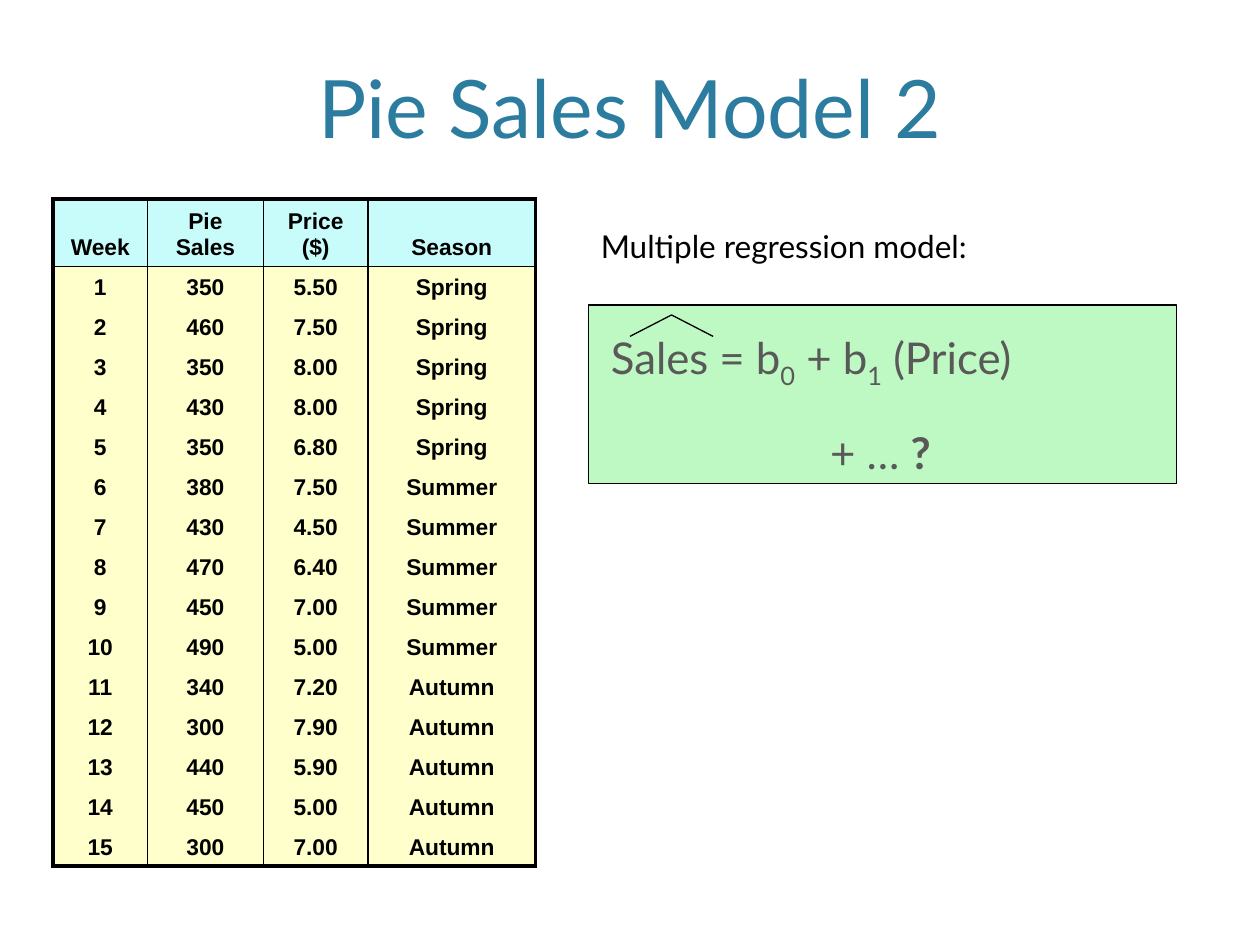
from lxml import etree
from pptx import Presentation
from pptx import util as u
from pptx.dml.color import RGBColor
from pptx.enum import shapes, text
from pptx.oxml import ns

BLACK, GRAY, TEAL = "000000", "595959", "2C7C9F"
HEADER_FILL, BODY_FILL, MODEL_FILL = "C8FCFB", "FFFFCC", "BEF8C2"
HEADINGS = ["Week", "Pie Sales", "Price\n($)", "Season"]
PIE_SALES = [350, 460, 350, 430, 350, 380, 430, 470, 450, 490, 340, 300, 440, 450, 300]
PRICES = [5.5, 7.5, 8, 8, 6.8, 7.5, 4.5, 6.4, 7, 5, 7.2, 7.9, 5.9, 5, 7]
SEASONS = ["Spring", "Summer", "Autumn"]
WEEKS_PER_SEASON = 5


def color(hex_string):
    return RGBColor.from_string(hex_string)


def add_run(paragraph, words, size, hex_string, font="Lato", bold=False, subscript=False):
    run = paragraph.add_run()
    run.text = words
    run.font.size = u.Pt(size)
    run.font.name = font
    run.font.bold = bold
    run.font.color.rgb = color(hex_string)
    if subscript:
        run.font._element.set("baseline", "-25000")


def add_text_frame(slide, left, top, width, height):
    box = slide.shapes.add_textbox(*map(u.Inches, (left, top, width, height)))
    box.text_frame.word_wrap = True
    return box.text_frame


def outline(shape):
    shape.shadow.inherit = False
    shape.line.color.rgb = color(BLACK)
    shape.line.width = u.Pt(0.75)


def set_borders(cell, **widths):
    """Draw the sides L, R, T and B in points; a width of 0 hides the side."""
    properties = cell._tc.get_or_add_tcPr()
    for side, width in widths.items():
        line = etree.SubElement(properties, ns.qn(f"a:ln{side}"), w=str(u.Pt(width)))
        if width:
            fill = etree.SubElement(line, ns.qn("a:solidFill"))
            etree.SubElement(fill, ns.qn("a:srgbClr"), val=BLACK)
        else:
            etree.SubElement(line, ns.qn("a:noFill"))


def add_title(slide, left, top, width, height):
    frame = add_text_frame(slide, left, top, width, height)
    frame.vertical_anchor = text.MSO_ANCHOR.BOTTOM
    heading = frame.paragraphs[0]
    heading.alignment = text.PP_ALIGN.CENTER
    add_run(heading, "Pie Sales Model 2", 46, TEAL)


def add_sales_table(slide, left, top, column_widths, header_height, row_height):
    weeks = [
        [str(week + 1), str(sales), f"{price:.2f}", SEASONS[week // WEEKS_PER_SEASON]]
        for week, (sales, price) in enumerate(zip(PIE_SALES, PRICES))
    ]
    rows = [HEADINGS] + weeks
    last_row, last_column = len(weeks), len(HEADINGS) - 1
    size = sum(column_widths), header_height + last_row * row_height
    table = slide.shapes.add_table(
        len(rows), len(HEADINGS), *map(u.Inches, (left, top, *size))
    ).table
    table.first_row = table.horz_banding = False
    for column, width in zip(table.columns, column_widths):
        column.width = u.Inches(width)
    for r, values in enumerate(rows):
        table.rows[r].height = u.Inches(row_height if r else header_height)
        for c, value in enumerate(values):
            cell = table.cell(r, c)
            set_borders(
                cell,
                L=1 if c else 2.25,
                R=2.25 if c == last_column else 1,
                T={0: 2.25, 1: 1}.get(r, 0),
                B={0: 1, last_row: 2.25}.get(r, 0),
            )
            cell.fill.solid()
            cell.fill.fore_color.rgb = color(BODY_FILL if r else HEADER_FILL)
            cell.vertical_anchor = text.MSO_ANCHOR.BOTTOM
            frame = cell.text_frame
            for i, words in enumerate(value.split("\n")):
                paragraph = frame.add_paragraph() if i else frame.paragraphs[0]
                paragraph.alignment = text.PP_ALIGN.CENTER
                add_run(paragraph, words, 13, BLACK, "Arial", bold=True)


def add_model_panel(slide, left, top, width, height):
    panel = slide.shapes.add_shape(
        shapes.MSO_SHAPE.RECTANGLE, *map(u.Inches, (left, top, width, height))
    )
    panel.fill.solid()
    panel.fill.fore_color.rgb = color(MODEL_FILL)
    outline(panel)

    formula = add_text_frame(slide, left + 0.08, top + 0.16, width + 0.08, 1.17)
    equation, continuation = formula.paragraphs[0], formula.add_paragraph()
    for words, subscript in [
        ("Sales = b", False), ("0", True), (" + b", False), ("1", True), (" (Price)", False)
    ]:
        add_run(equation, words, 25, GRAY, subscript=subscript)
    continuation._p.get_or_add_pPr().set("marL", str(u.Inches(1.74)))
    add_run(continuation, "+ … ", 25, GRAY)
    add_run(continuation, "?", 25, GRAY, bold=True)
    for paragraph in formula.paragraphs:
        paragraph.space_before = u.Pt(20)

    hat_left, hat_top = left + 0.33, top + 0.08
    builder = slide.shapes.build_freeform(u.Inches(hat_left), u.Inches(hat_top + 0.17))
    builder.add_line_segments(
        [
            (u.Inches(hat_left + 0.33), u.Inches(hat_top)),
            (u.Inches(hat_left + 0.66), u.Inches(hat_top + 0.17)),
        ],
        close=False,
    )
    hat = builder.convert_to_shape()
    hat.fill.background()
    outline(hat)

    caption = add_text_frame(slide, left, top - 0.67, 4.25, 0.5)
    add_run(caption.paragraphs[0], "Multiple regression model:", 18, BLACK)


def main():
    deck = Presentation()
    deck.slide_width, deck.slide_height = u.Inches(10), u.Inches(7.5)
    slide = deck.slides.add_slide(deck.slide_layouts[6])
    add_title(slide, 0.6, 0.12, 8.8, 1.16)
    add_sales_table(slide, 0.42, 1.58, [0.75, 0.92, 0.83, 1.33], 0.5, 0.3)
    add_model_panel(slide, 4.67, 2.42, 4.67, 1.42)
    deck.save("out.pptx")


if __name__ == "__main__":
    main()
